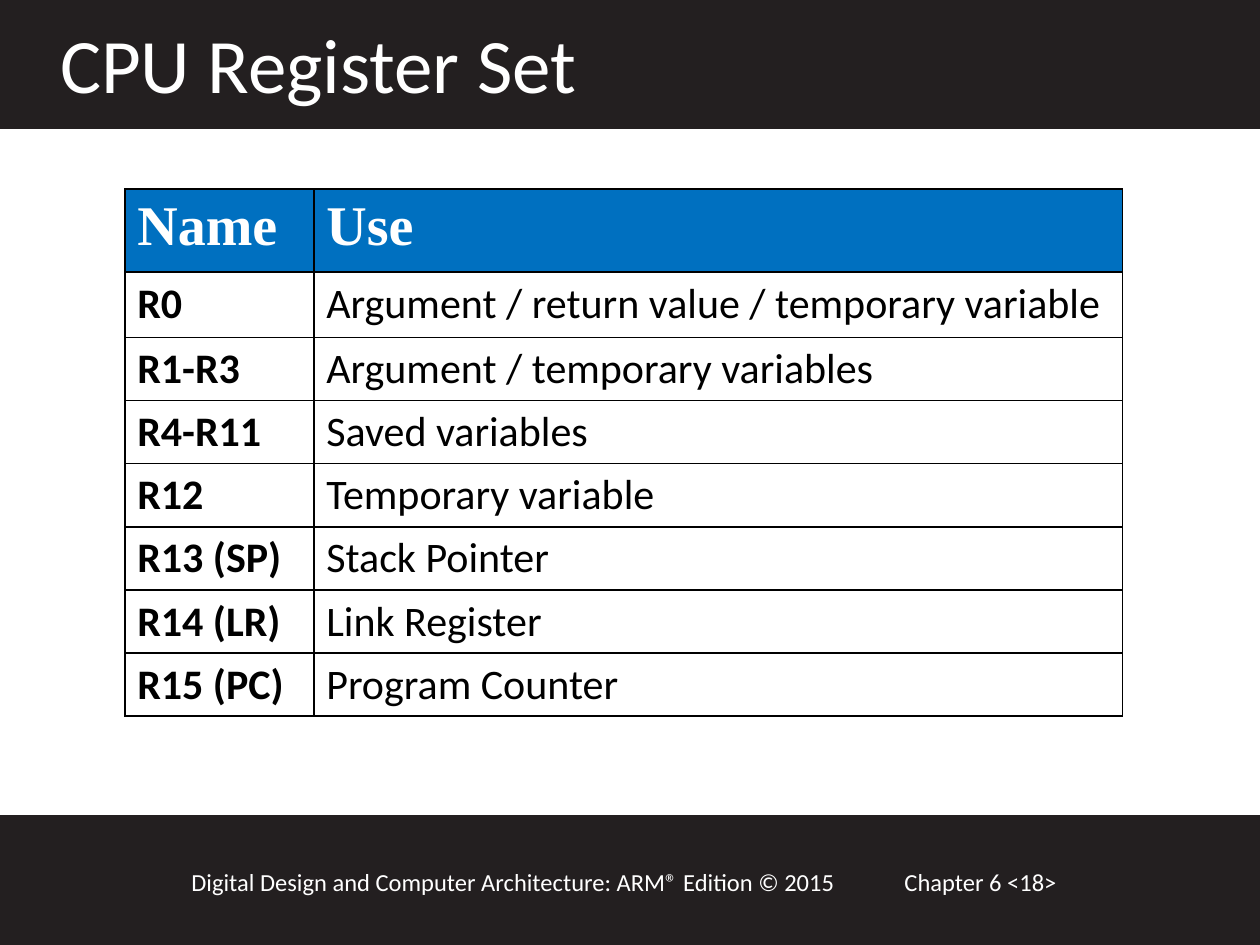
"""Builds a slide that lists the processor's register set."""
from dataclasses import dataclass

from lxml import etree
from pptx import Presentation
from pptx.dml.color import RGBColor
from pptx.enum.shapes import MSO_SHAPE
from pptx.oxml.ns import qn
from pptx.util import Inches, Pt

RECTANGLE = MSO_SHAPE.RECTANGLE
COLUMNS, ROWS = 100, 75
REGISTERS = [
    ("Name", "Use"),
    ("R0", "Argument / return value / temporary variable"),
    ("R1-R3", "Argument / temporary variables"),
    ("R4-R11", "Saved variables"),
    ("R12", "Temporary variable"),
    ("R13 (SP)", "Stack Pointer"),
    ("R14 (LR)", "Link Register"),
    ("R15 (PC)", "Program Counter"),
]


@dataclass(frozen=True)
class Theme:
    band: str = "231F20"
    accent: str = "0070C0"
    light: str = "FFFFFF"
    dark: str = "000000"
    sans: str = "Calibri"
    serif: str = "Times New Roman"
    title: int = 44
    heading: int = 32
    body: int = 24
    footer: int = 14
    border: int = 1
    band_line: int = 2
    hanging: float = 0.38


class SlideBuilder:
    def __init__(self, deck, theme):
        self.theme = theme
        self.column = deck.slide_width / COLUMNS
        self.row = deck.slide_height / ROWS
        self.slide = deck.slides.add_slide(deck.slide_layouts[6])

    def place(self, left, top, width, height):
        return [round(share * unit) for share, unit in zip(
            (left, top, width, height), (self.column, self.row) * 2)]

    def add_words(self, frame, text, color, **formats):
        para = frame.paragraphs[0]
        span = para.add_run()
        span.text = text
        for name, value in formats.items():
            setattr(span.font, name, value)
        span.font.color.rgb = RGBColor.from_string(color)
        return para

    def band(self, top, height):
        shape = self.slide.shapes.add_shape(
            RECTANGLE, *self.place(0, top, COLUMNS, height))
        shape.shadow.inherit = False
        shape.fill.solid()
        for color in (shape.fill.fore_color, shape.line.color):
            color.rgb = RGBColor.from_string(self.theme.band)
        shape.line.width = Pt(self.theme.band_line)

    def text(self, text, size, *area):
        box = self.slide.shapes.add_textbox(*self.place(*area))
        box.text_frame.word_wrap = True
        self.add_words(box.text_frame, text, self.theme.light,
                       name=self.theme.sans, size=Pt(size))

    def borders(self, cell):
        properties = cell._tc.get_or_add_tcPr()
        for index, side in enumerate(("lnL", "lnR", "lnT", "lnB")):
            line = etree.Element(qn(f"a:{side}"), w=str(Pt(self.theme.border)))
            fill = etree.SubElement(line, qn("a:solidFill"))
            etree.SubElement(fill, qn("a:srgbClr"), val=self.theme.dark)
            properties.insert(index, line)

    def cell(self, cell, text, heading, bold):
        theme = self.theme
        if heading:
            cell.fill.solid()
            cell.fill.fore_color.rgb = RGBColor.from_string(theme.accent)
            color, font, size = theme.light, theme.serif, theme.heading
        else:
            cell.fill.background()
            color, font, size = theme.dark, theme.sans, theme.body
        para = self.add_words(cell.text_frame, text, color,
                              name=font, size=Pt(size), bold=bold)
        properties = para._p.get_or_add_pPr()
        properties.set("marL", str(Inches(theme.hanging)))
        properties.set("indent", str(-Inches(theme.hanging)))
        self.borders(cell)

    def table(self, records, left, top, widths, heights):
        table = self.slide.shapes.add_table(
            len(records), len(widths),
            *self.place(left, top, sum(widths), sum(heights))).table
        table.first_row = table.horz_banding = False
        for column, width in zip(table.columns, widths):
            column.width = round(width * self.column)
        for row, height in zip(table.rows, heights):
            row.height = round(height * self.row)
        for r, record in enumerate(records):
            for c, text in enumerate(record):
                self.cell(table.cell(r, c), text, r == 0, r == 0 or c == 0)


def main():
    deck = Presentation()
    deck.slide_width, deck.slide_height = Inches(10), Inches(7.5)
    theme = Theme()
    page = SlideBuilder(deck, theme)
    page.band(64.8, 10.2)
    page.band(0, 10.1)
    page.text("Chapter 6 <18>", theme.footer, 70.8, 68.3, 21.7, 3.4)
    page.text("Digital Design and Computer Architecture: ARM® Edition © 2015",
              theme.footer, 14.2, 68.3, 57.5, 3.4)
    page.table(REGISTERS, 9.9, 15, [15, 64.2], [6.6, 5.2] + [5] * 6)
    page.text("CPU Register Set", theme.title, 3.8, 0.8, 86.7, 8.4)
    deck.save("out.pptx")


if __name__ == "__main__":
    main()
